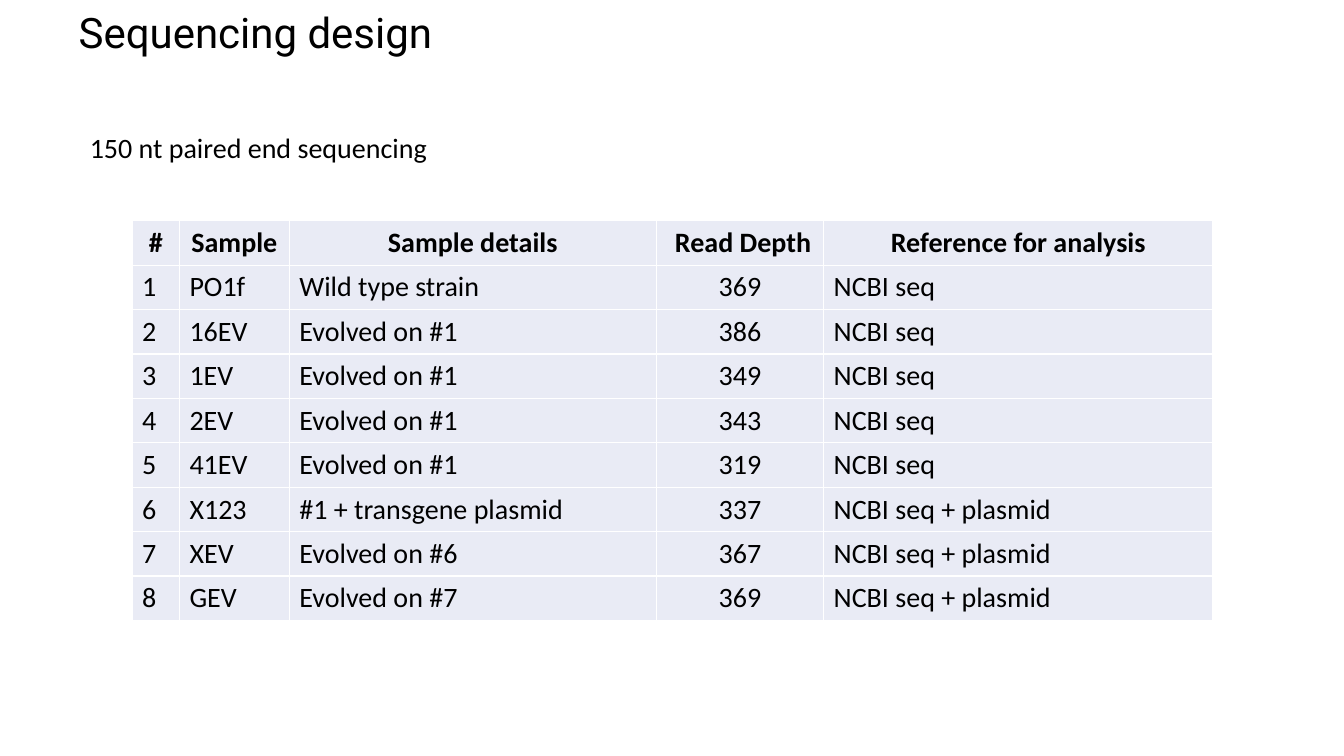
from dataclasses import dataclass

from lxml.etree import SubElement
from pptx import Presentation
from pptx.dml.color import RGBColor as Color
from pptx.enum.text import MSO_ANCHOR as Anchor, MSO_AUTO_SIZE as AutoSize, PP_ALIGN as Align
from pptx.oxml.ns import qn
from pptx.util import Inches, Pt

TITLE = "Sequencing design"
METHOD = "150 nt paired end sequencing"
HEADERS = ("#", "Sample", "Sample details", " Read Depth", "Reference for analysis")
SAMPLES = (
    ("PO1f", "Wild type strain", 369, "NCBI seq"),
    ("16EV", "Evolved on #1", 386, "NCBI seq"),
    ("1EV", "Evolved on #1", 349, "NCBI seq"),
    ("2EV", "Evolved on #1", 343, "NCBI seq"),
    ("41EV", "Evolved on #1", 319, "NCBI seq"),
    ("X123", "#1 + transgene plasmid", 337, "NCBI seq + plasmid"),
    ("XEV", "Evolved on #6", 367, "NCBI seq + plasmid"),
    ("GEV", "Evolved on #7", 369, "NCBI seq + plasmid"),
)
COLUMN_WIDTHS = (0.47, 1.09, 3.64, 1.66, 3.86)
DEPTH_COLUMN = HEADERS.index(" Read Depth")
ROW_HEIGHT = 0.44


@dataclass(frozen=True)
class Theme:
    ink: str = "000000"
    cell: str = "E9EBF5"
    border: str = "FFFFFF"
    title_font: str = "Roboto"
    body_font: str = "Calibri"
    title_size: int = 30
    body_size: int = 20
    border_width: int = 1


THEME = Theme()


def style_runs(para, font, size, bold=False):
    for span in para.runs:
        span.font.name = font
        span.font.size = Pt(size)
        span.font.bold = bold
        span.font.color.rgb = Color.from_string(THEME.ink)


def fill_placeholder(box, text, place, font, size):
    box.left, box.top, box.width, box.height = map(Inches, place)
    frame = box.text_frame
    frame.text = text
    frame.word_wrap = True
    frame.auto_size = AutoSize.NONE
    frame.vertical_anchor = Anchor.TOP
    para = frame.paragraphs[0]
    para.alignment = Align.LEFT
    para.line_spacing = 0.9
    style_runs(para, font, size)
    return para


def remove_bullet(para):
    properties = para._p.get_or_add_pPr()
    properties.set("marL", "0")
    properties.set("indent", "0")
    SubElement(properties, qn("a:buNone"))


def add_borders(cell):
    properties = cell._tc.get_or_add_tcPr()
    for side in ("lnL", "lnR", "lnT", "lnB"):
        line = SubElement(properties, qn(f"a:{side}"), w=str(Pt(THEME.border_width)))
        fill = SubElement(line, qn("a:solidFill"))
        SubElement(fill, qn("a:srgbClr"), val=THEME.border)


def fill_cell(cell, text, header, centred):
    add_borders(cell)
    cell.fill.solid()
    cell.fill.fore_color.rgb = Color.from_string(THEME.cell)
    cell.vertical_anchor = Anchor.MIDDLE if header else Anchor.BOTTOM
    cell.text_frame.text = str(text)
    para = cell.text_frame.paragraphs[0]
    para.alignment = Align.CENTER if centred else Align.LEFT
    style_runs(para, THEME.body_font, THEME.body_size, header)


def add_sample_table(page):
    rows = [HEADERS] + [(number, *sample) for number, sample in enumerate(SAMPLES, 1)]
    table = page.shapes.add_table(
        len(rows), len(HEADERS), Inches(1.31), Inches(2.19),
        Inches(sum(COLUMN_WIDTHS)), Inches(ROW_HEIGHT * len(rows))).table
    table.horz_banding = False
    for column, width in zip(table.columns, COLUMN_WIDTHS):
        column.width = Inches(width)
    for row_index, row in enumerate(rows):
        header = row_index == 0
        for column_index, text in enumerate(row):
            centred = header or column_index == DEPTH_COLUMN
            fill_cell(table.cell(row_index, column_index), text, header, centred)


def main():
    deck = Presentation()
    deck.slide_width, deck.slide_height = Inches(13.33), Inches(7.5)
    page = deck.slides.add_slide(deck.slide_layouts[1])
    fill_placeholder(page.shapes.title, TITLE, (0.68, 0.07, 11.74, 1.03),
                     THEME.title_font, THEME.title_size)
    method = fill_placeholder(page.placeholders[1], METHOD, (0.79, 1.28, 4.67, 0.39),
                              THEME.body_font, THEME.body_size)
    method.space_before = Pt(10)
    remove_bullet(method)
    add_sample_table(page)
    deck.save("out.pptx")


if __name__ == "__main__":
    main()
